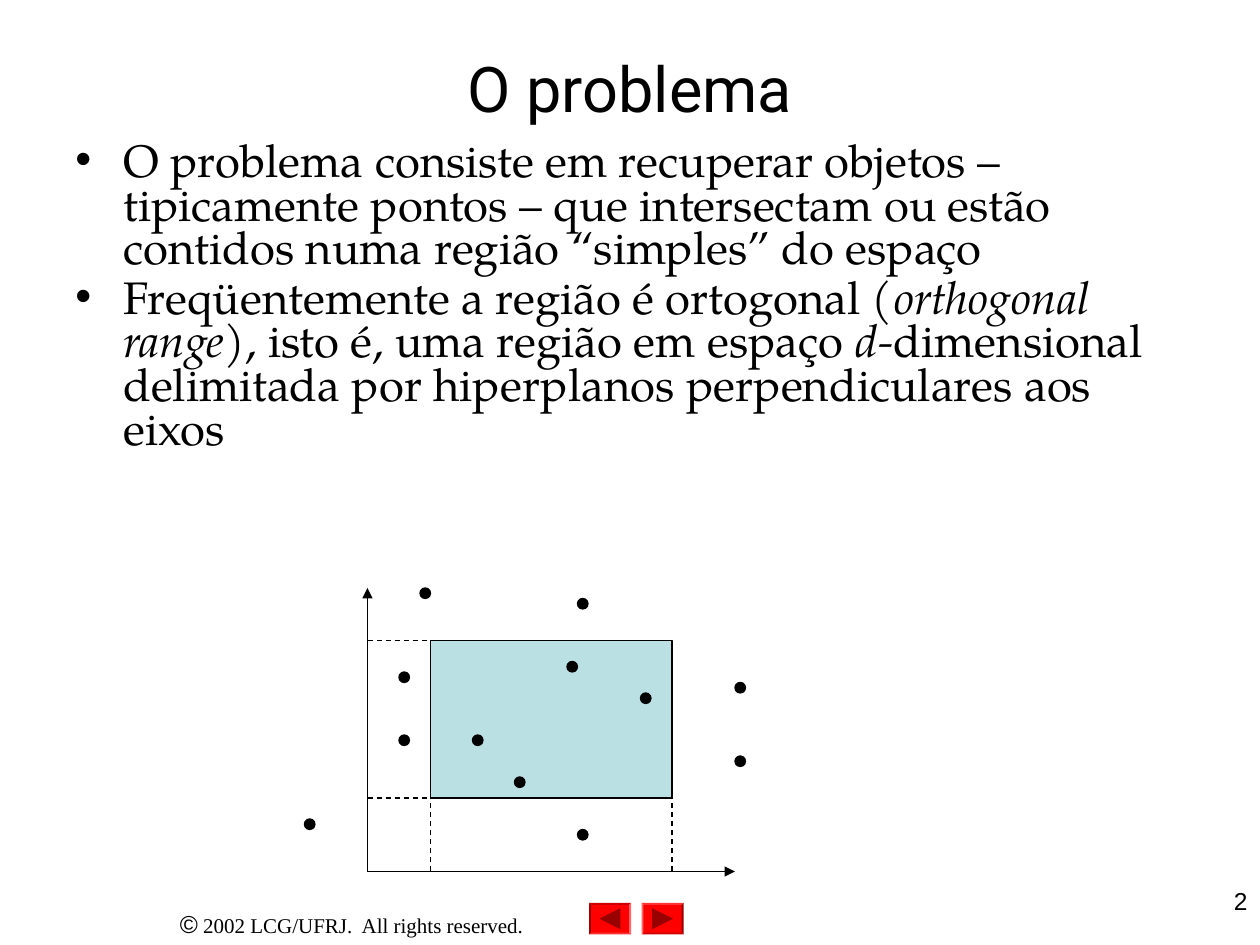
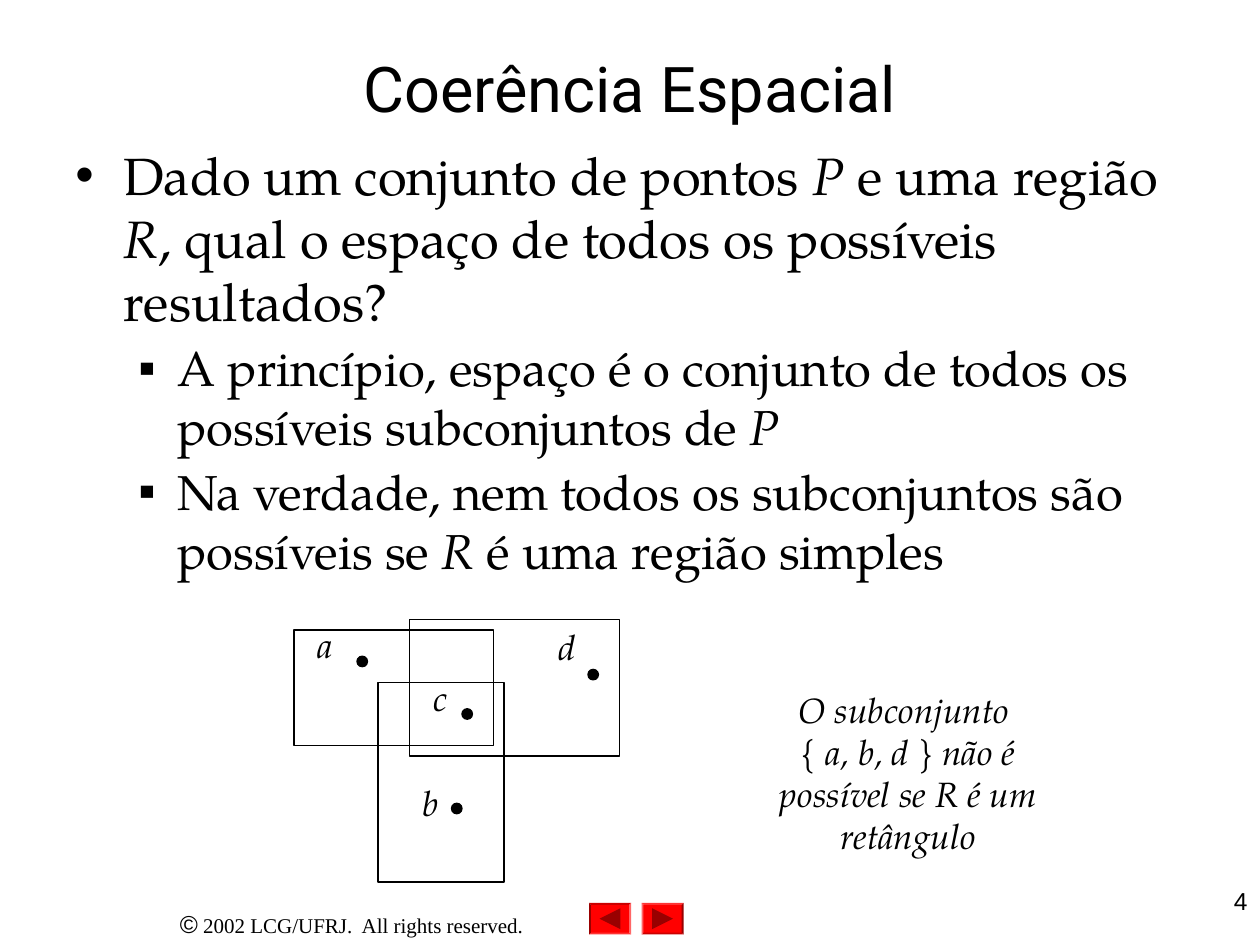
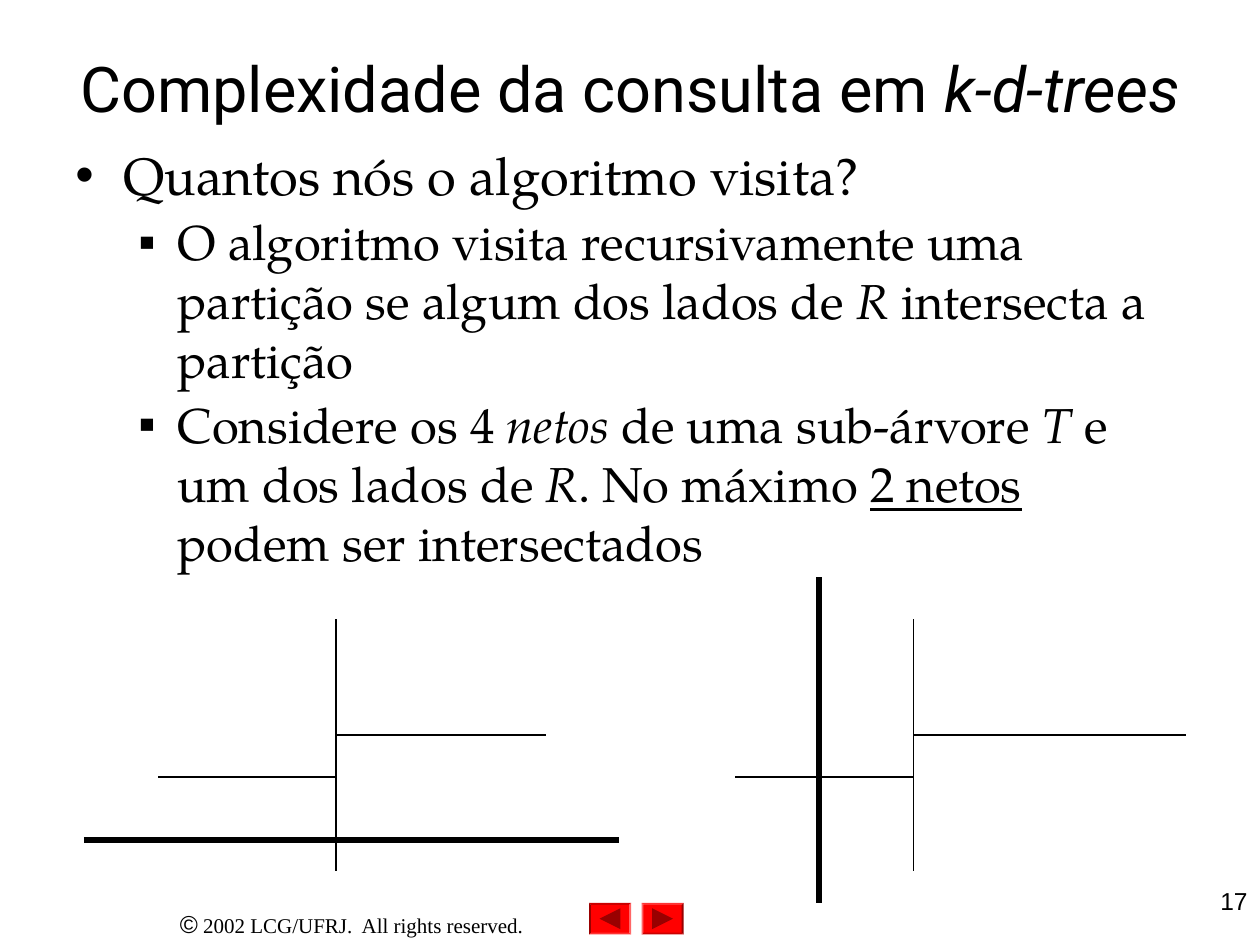
from pptx import Presentation
from pptx.dml.color import RGBColor
from pptx.enum.dml import MSO_LINE
from pptx.enum.shapes import MSO_CONNECTOR, MSO_SHAPE
from pptx.enum.text import MSO_ANCHOR, PP_ALIGN
from pptx.oxml.ns import qn
from pptx.util import Inches, Pt
from lxml.etree import SubElement

WIDE, HIGH = Inches(10), Inches(7.5)
COLS, ROWS = 120, 90
BLACK, RED, DARK, AQUA = "000000", "FF0000", "990000", "BBE0E3"
SANS, SERIF, HEAD, NOTE = "Arial", "TeX Gyre Pagella", "Roboto", "Times New Roman"
BODY = (6, 13, 108, 71)
LEVELS = (("•", 0.38, 0.38, 30, 3.7), ("▪", 0.81, 0.31, 28, 3.5))


def color(code):
    """Turn a hex string into a colour."""
    return RGBColor.from_string(code)


def px(col):
    """Return the x of a grid column."""
    return int(WIDE * col / COLS)


def py(row):
    """Return the y of a grid row."""
    return int(HIGH * row / ROWS)


def frame(box):
    """Turn a box in grid units into lengths."""
    left, top, wide, high = box
    return px(left), py(top), px(wide), py(high)


def write(para, text, size, font, style=""):
    """Add one run; style may hold i and u."""
    run = para.add_run()
    run.text = text
    face = run.font
    face.size, face.name = Pt(size), font
    face.italic, face.underline = "i" in style, "u" in style
    face.color.rgb = color(BLACK)


def text_box(slide, box, align=PP_ALIGN.LEFT, wrap=True, anchor=MSO_ANCHOR.TOP):
    """Add an empty text box and return its text frame."""
    area = slide.shapes.add_textbox(*frame(box)).text_frame
    area.word_wrap, area.vertical_anchor = wrap, anchor
    area.paragraphs[0].alignment = align
    return area


def bullet(para, mark, left, hang):
    """Give a paragraph a bullet with a hanging indent."""
    props = para._p.get_or_add_pPr()
    props.set("marL", str(Inches(left)))
    props.set("indent", str(-Inches(hang)))
    tint = SubElement(props, qn("a:buClr"))
    SubElement(tint, qn("a:srgbClr"), val=BLACK)
    SubElement(props, qn("a:buFont"), typeface=SANS)
    SubElement(props, qn("a:buChar"), char=mark)


def body(slide, items, size=None, before=None, pitch=None):
    """Add the bullet list from (level, runs) items."""
    area = text_box(slide, BODY)
    for at, (level, runs) in enumerate(items):
        para = area.add_paragraph() if at else area.paragraphs[0]
        mark, left, hang, points, gap = LEVELS[level]
        para.level = level
        para.space_before = Pt(before or gap)
        if pitch:
            para.line_spacing = pitch
        bullet(para, mark, left, hang)
        for text, style in runs:
            write(para, text, size or points, SERIF, style)


def paint(shape, fill, edge=BLACK):
    """Set the fill and the edge of a shape, either of them optional."""
    shape.shadow.inherit = False
    if fill:
        shape.fill.solid()
        shape.fill.fore_color.rgb = color(fill)
    else:
        shape.fill.background()
    if edge:
        shape.line.color.rgb = color(edge)
        shape.line.width = Pt(0.75)
    else:
        shape.line.fill.background()


def block(slide, box, fill=None):
    """Add a rectangle."""
    paint(slide.shapes.add_shape(MSO_SHAPE.RECTANGLE, *frame(box)), fill)


def dots(slide, spots):
    """Add a one-cell dot at each spot."""
    for col, row in spots:
        dot = slide.shapes.add_shape(MSO_SHAPE.OVAL, *frame((col, row, 1, 1)))
        paint(dot, BLACK)


def line(slide, start, end, width=0.75, dash=False, arrow=False):
    """Add a straight line between two grid points."""
    link = slide.shapes.add_connector(
        MSO_CONNECTOR.STRAIGHT, px(start[0]), py(start[1]), px(end[0]), py(end[1]))
    link.line.color.rgb = color(BLACK)
    link.line.width = Pt(width)
    if dash:
        link.line.dash_style = MSO_LINE.DASH
    if arrow:
        SubElement(link.line._get_or_add_ln(), qn("a:tailEnd"), type="triangle")
    SubElement(link._element.spPr, qn("a:effectLst"))


def button(slide, left, way):
    """Add a bevelled button whose arrow points right (1) or left (-1)."""
    top, wide, high = 86, 4, 3
    base = slide.shapes.add_shape(MSO_SHAPE.BEVEL, *frame((left, top, wide, high)))
    base.adjustments[0] = 0.06
    base.rotation = 0 if way > 0 else 180
    paint(base, RED, None)
    mid, half = left + wide / 2, top + high / 2
    pen = slide.shapes.build_freeform(px(mid - way), py(half - 1))
    pen.add_line_segments([(px(mid + way), py(half)), (px(mid - way), py(half + 1))])
    paint(pen.convert_to_shape(), DARK, None)


def start(deck, title, page):
    """Add a slide with footer, buttons, title and page number."""
    slide = deck.slides.add_slide(deck.slide_layouts[6])
    foot = text_box(slide, (10, 86, 47, 4), PP_ALIGN.CENTER).paragraphs[0]
    write(foot, "©", 14, SANS)
    write(foot, " 2002 LCG/UFRJ.  All rights reserved.", 12, NOTE)
    button(slide, 61.1, 1)
    button(slide, 56.1, -1)
    head = text_box(slide, (6, 3.6, 108, 9.4), PP_ALIGN.CENTER, anchor=MSO_ANCHOR.MIDDLE)
    for text, style in title:
        write(head.paragraphs[0], text, 36, HEAD, style)
    num = text_box(slide, (108, 83.75, 12, 6.25), PP_ALIGN.RIGHT)
    write(num.paragraphs[0], str(page), 14, SANS)
    return slide


def problem(deck):
    """Build the slide on range search."""
    slide = start(deck, [("O problema", "")], 2)
    body(slide, [
        (0, [("O problema consiste em recuperar objetos – tipicamente pontos – que "
              "intersectam ou estão contidos numa região “simples” do espaço", "")]),
        (0, [("Freqüentemente a região é ortogonal (", ""), ("orthogonal range", "i"),
             ("), isto é, uma região em espaço ", ""), ("d-", "i"),
             ("dimensional delimitada por hiperplanos perpendiculares aos eixos", "")]),
    ], size=26, before=3.3, pitch=0.8)
    origin = (35, 83)
    for tip in ((35, 56), (70, 83)):
        line(slide, origin, tip, arrow=True)
    block(slide, (41, 61, 23, 15), AQUA)
    for row in (76, 61):
        line(slide, (35, row), (41, row), dash=True)
    for col in (41, 64):
        line(slide, (col, 83), (col, 75), dash=True)
    dots(slide, [(45, 70), (38, 70), (49, 74), (54, 63), (29, 78), (61, 66),
                 (38, 64), (70, 65), (55, 79), (55, 57), (40, 56), (70, 72)])


def subsets(deck):
    """Build the slide on possible subsets."""
    slide = start(deck, [("Coerência Espacial", "")], 4)
    body(slide, [
        (0, [("Dado um conjunto de pontos ", ""), ("P ", "i"), ("e uma região ", ""),
             ("R", "i"), (", qual o espaço de todos os possíveis resultados?", "")]),
        (1, [("A princípio, espaço é o conjunto de todos os possíveis subconjuntos de ", ""),
             ("P", "i")]),
        (1, [("Na verdade, nem todos os subconjuntos são possíveis se ", ""),
             ("R ", "i"), ("é uma região simples", "")]),
    ])
    dots(slide, [(43, 76.5), (34, 62.5), (56, 63.75), (44, 67.5)])
    for name, col, row in (("a", 29, 58.8), ("b", 39, 73.8), ("c", 40, 63.8), ("d", 52, 59)):
        tag = text_box(slide, (col, row, 4, 5.25), PP_ALIGN.CENTER, wrap=False)
        write(tag.paragraphs[0], name, 20, SERIF, "i")
    for box in ((39, 59, 20, 13), (28, 60, 19, 11), (36, 65, 12, 19)):
        block(slide, box)
    note = text_box(slide, (73, 65, 27, 17.25), PP_ALIGN.CENTER).paragraphs[0]
    note.space_before = Pt(12.5)
    write(note, "O subconjunto ", 20, SERIF, "i")
    note.add_line_break()
    write(note, "{ a, b, d } não é possível se R é um retângulo", 20, SERIF, "i")


def split(slide, col, left, right):
    """Draw a partition: one upright cut and a cut on each side."""
    line(slide, (col, 59), (col, 83))
    line(slide, (col, 74), (left, 74))
    line(slide, (col, 70), (right, 70))


def cost(deck):
    """Build the slide on query cost."""
    slide = start(deck, [("Complexidade da consulta em ", ""), ("k-d-trees", "i")], 17)
    body(slide, [
        (0, [("Quantos nós o algoritmo visita?", "")]),
        (1, [("O algoritmo visita recursivamente uma partição se algum dos lados de ", ""),
             ("R ", "i"), ("intersecta a partição", "")]),
        (1, [("Considere os 4 ", ""), ("netos", "i"), (" de uma sub-árvore ", ""),
             ("T", "i"), (" e um dos lados de ", ""), ("R", "i"), (". No máximo ", ""),
             ("2 netos", "u"), (" podem ser intersectados", "")]),
    ])
    split(slide, 32, 15, 52)
    line(slide, (8, 80), (59, 80), width=3)
    split(slide, 87, 70, 113)
    line(slide, (78, 86), (78, 55), width=3)


def main():
    """Build and save the deck."""
    deck = Presentation()
    deck.slide_width, deck.slide_height = WIDE, HIGH
    for build in (problem, subsets, cost):
        build(deck)
    deck.save("out.pptx")


if __name__ == "__main__":
    main()
